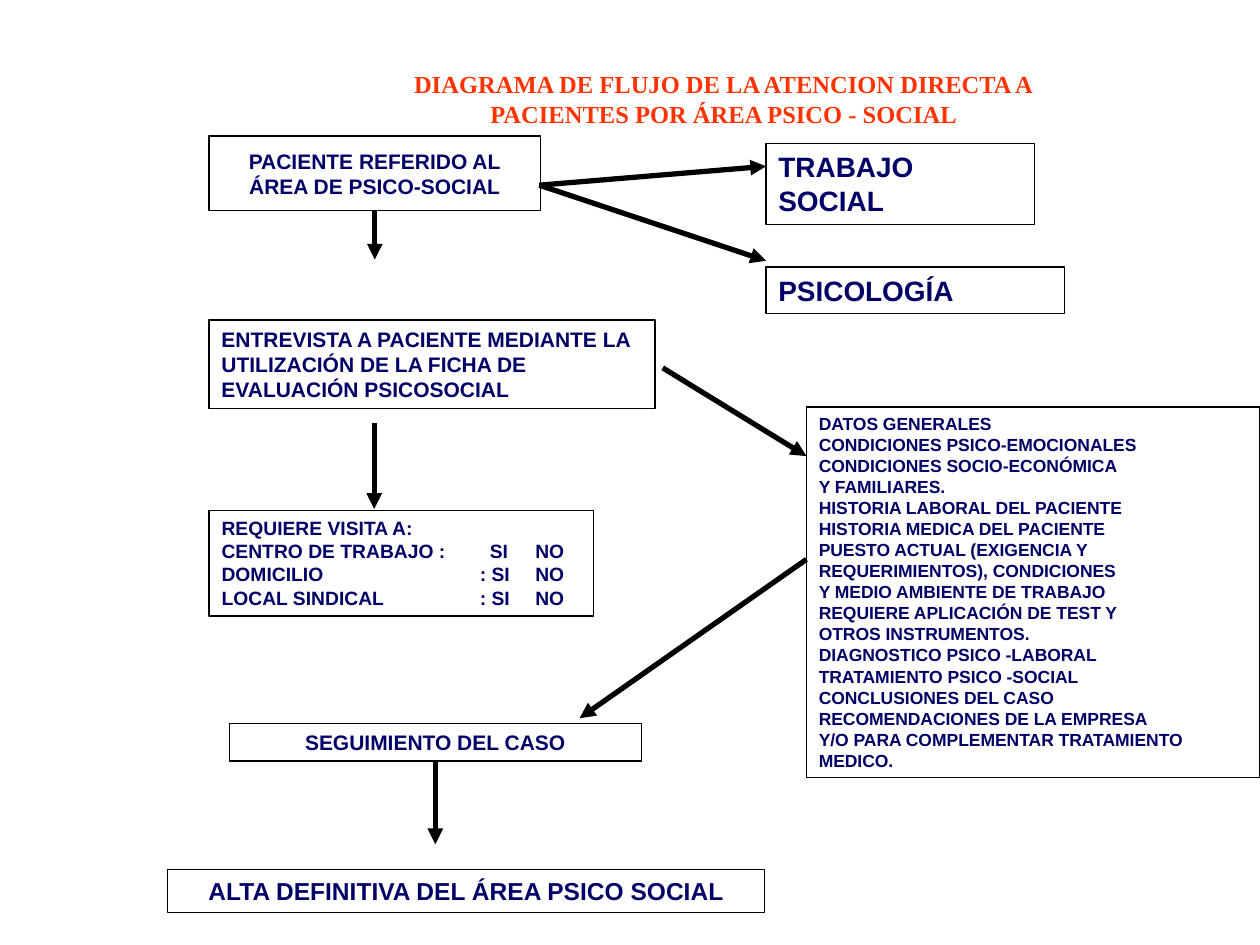
from lxml.etree import SubElement
from pptx import Presentation
from pptx.dml.color import RGBColor
from pptx.enum.shapes import MSO_CONNECTOR, MSO_SHAPE
from pptx.enum.text import MSO_ANCHOR, MSO_AUTO_SIZE, PP_ALIGN
from pptx.oxml.ns import qn
from pptx.util import Inches, Pt

THEME = {
    "ink": RGBColor.from_string("000066"),
    "heading": RGBColor.from_string("FF3300"),
    "stroke": RGBColor.from_string("000000"),
    "body_font": "Arial",
    "heading_font": "Times New Roman",
    "border": Pt(0.75),
    "arrow": Pt(3),
    "detail": Pt(10),
    "visit": Pt(11),
    "step": Pt(12),
    "large": Pt(14),
    "area": Pt(16),
}
SLIDE_WIDTH, SLIDE_HEIGHT = Inches(10), Inches(7.5)
COLUMNS, ROWS = 100, 75
LEFT, AREA, DETAIL, AXIS = 16.6, 60.8, 64, 29.7
VISIT_TABS = [2.05, 2.13, 2.49]

TITLE = {
    "at": (18.3, 5, 78.3, 5.7), "size": "large", "centred": True,
    "lines": ["DIAGRAMA DE FLUJO DE LA ATENCION DIRECTA A",
              "PACIENTES POR ÁREA PSICO - SOCIAL"],
}
BOXES = {
    "referral": {
        "at": (LEFT, 10.8, 26.3, 5.9), "size": "step", "centred": True,
        "frame": {"vertical_anchor": MSO_ANCHOR.MIDDLE, "word_wrap": False,
                  "auto_size": MSO_AUTO_SIZE.NONE},
        "lines": ["PACIENTE REFERIDO AL", "ÁREA DE PSICO-SOCIAL"],
    },
    "interview": {
        "at": (LEFT, 25.4, 35.4, 7), "size": "step",
        "lines": ["ENTREVISTA A PACIENTE MEDIANTE LA UTILIZACIÓN DE LA FICHA "
                  "DE EVALUACIÓN PSICOSOCIAL"],
    },
    "visit": {
        "at": (LEFT, 40.5, 30.5, 8.4), "size": "visit", "tabs": VISIT_TABS,
        "lines": ["REQUIERE VISITA A:",
                  "CENTRO DE TRABAJO :\t\tSI\tNO",
                  "DOMICILIO\t: SI\tNO",
                  "LOCAL SINDICAL\t: SI\tNO"],
    },
    "follow_up": {
        "at": (18.2, 57.4, 32.7, 3), "size": "step", "centred": True,
        "lines": ["SEGUIMIENTO DEL CASO"],
    },
    "discharge": {
        "at": (13.3, 69, 47.4, 3.4), "size": "large", "centred": True,
        "lines": ["ALTA DEFINITIVA DEL ÁREA PSICO SOCIAL"],
    },
    "social_work": {
        "at": (AREA, 11.4, 21.3, 6.4), "size": "area",
        "lines": ["TRABAJO SOCIAL"],
    },
    "psychology": {
        "at": (AREA, 21.2, 23.7, 3.7), "size": "area",
        "lines": ["PSICOLOGÍA"],
    },
    "details": {
        "at": (DETAIL, 32.3, 36, 29.4), "size": "detail",
        "lines": ["DATOS GENERALES",
                  "CONDICIONES PSICO-EMOCIONALES",
                  "CONDICIONES SOCIO-ECONÓMICA",
                  "Y FAMILIARES.",
                  "HISTORIA LABORAL DEL PACIENTE",
                  "HISTORIA MEDICA DEL PACIENTE",
                  "PUESTO ACTUAL (EXIGENCIA Y",
                  "REQUERIMIENTOS), CONDICIONES",
                  "Y MEDIO AMBIENTE DE TRABAJO",
                  "REQUIERE APLICACIÓN DE TEST Y",
                  "OTROS INSTRUMENTOS.",
                  "DIAGNOSTICO PSICO -LABORAL",
                  "TRATAMIENTO PSICO -SOCIAL",
                  "CONCLUSIONES DEL CASO",
                  "RECOMENDACIONES DE LA EMPRESA",
                  "Y/O PARA COMPLEMENTAR TRATAMIENTO",
                  "MEDICO."],
    },
}
ARROWS = [
    {"from": (42.8, 14.7), "to": (AREA, 13.2)},
    {"from": (42.8, 14.7), "to": (AREA, 20.7)},
    {"from": (AXIS, 16.7), "to": (AXIS, 20.6), "begin": ("referral", 2)},
    {"from": (AXIS, 33.6), "to": (AXIS, 40.4)},
    {"from": (52.6, 29.2), "to": (DETAIL, 36.2)},
    {"from": (34.6, 60.4), "to": (34.6, 67), "begin": ("follow_up", 2)},
    {"from": (DETAIL, 44.4), "to": (46, 57)},
]


def apply(target, values):
    for name, value in values.items():
        setattr(target, name, value)


def grid(*cells):
    steps = (SLIDE_WIDTH / COLUMNS, SLIDE_HEIGHT / ROWS)
    return [round(cell * steps[index % 2]) for index, cell in enumerate(cells)]


def write(box, content, color, font):
    frame = box.text_frame
    apply(frame, {"word_wrap": True, "auto_size": MSO_AUTO_SIZE.SHAPE_TO_FIT_TEXT,
                  "vertical_anchor": MSO_ANCHOR.TOP, **content.get("frame", {})})
    align = PP_ALIGN.CENTER if content.get("centred") else PP_ALIGN.LEFT
    for index, line in enumerate(content["lines"]):
        para = frame.add_paragraph() if index else frame.paragraphs[0]
        para.alignment = align
        if "tabs" in content:
            stops = SubElement(para._p.get_or_add_pPr(), qn("a:tabLst"))
            for stop in content["tabs"]:
                SubElement(stops, qn("a:tab"), pos=str(Inches(stop)), algn="l")
        span = para.add_run()
        span.text = line
        apply(span.font, {"name": font, "size": THEME[content["size"]], "bold": True})
        span.font.color.rgb = color


def add_box(page, content):
    box = page.shapes.add_shape(MSO_SHAPE.RECTANGLE, *grid(*content["at"]))
    box.shadow.inherit = False
    box.fill.background()
    box.line.color.rgb = THEME["stroke"]
    box.line.width = THEME["border"]
    write(box, content, THEME["ink"], THEME["body_font"])
    return box


def add_arrow(page, arrow, boxes):
    connector = page.shapes.add_connector(
        MSO_CONNECTOR.STRAIGHT, *grid(*arrow["from"], *arrow["to"]))
    if "begin" in arrow:
        name, side = arrow["begin"]
        connector.begin_connect(boxes[name], side)
        connector.end_x = connector.begin_x
    connector.line.color.rgb = THEME["stroke"]
    connector.line.width = THEME["arrow"]
    SubElement(connector.line._get_or_add_ln(), qn("a:tailEnd"), type="triangle")
    SubElement(connector._element.spPr, qn("a:effectLst"))


def main():
    deck = Presentation()
    apply(deck, {"slide_width": SLIDE_WIDTH, "slide_height": SLIDE_HEIGHT})
    page = deck.slides.add_slide(deck.slide_layouts[6])
    boxes = {name: add_box(page, content) for name, content in BOXES.items()}
    for arrow in ARROWS:
        add_arrow(page, arrow, boxes)
    title = page.shapes.add_textbox(*grid(*TITLE["at"]))
    write(title, TITLE, THEME["heading"], THEME["heading_font"])
    deck.save("out.pptx")


if __name__ == "__main__":
    main()
